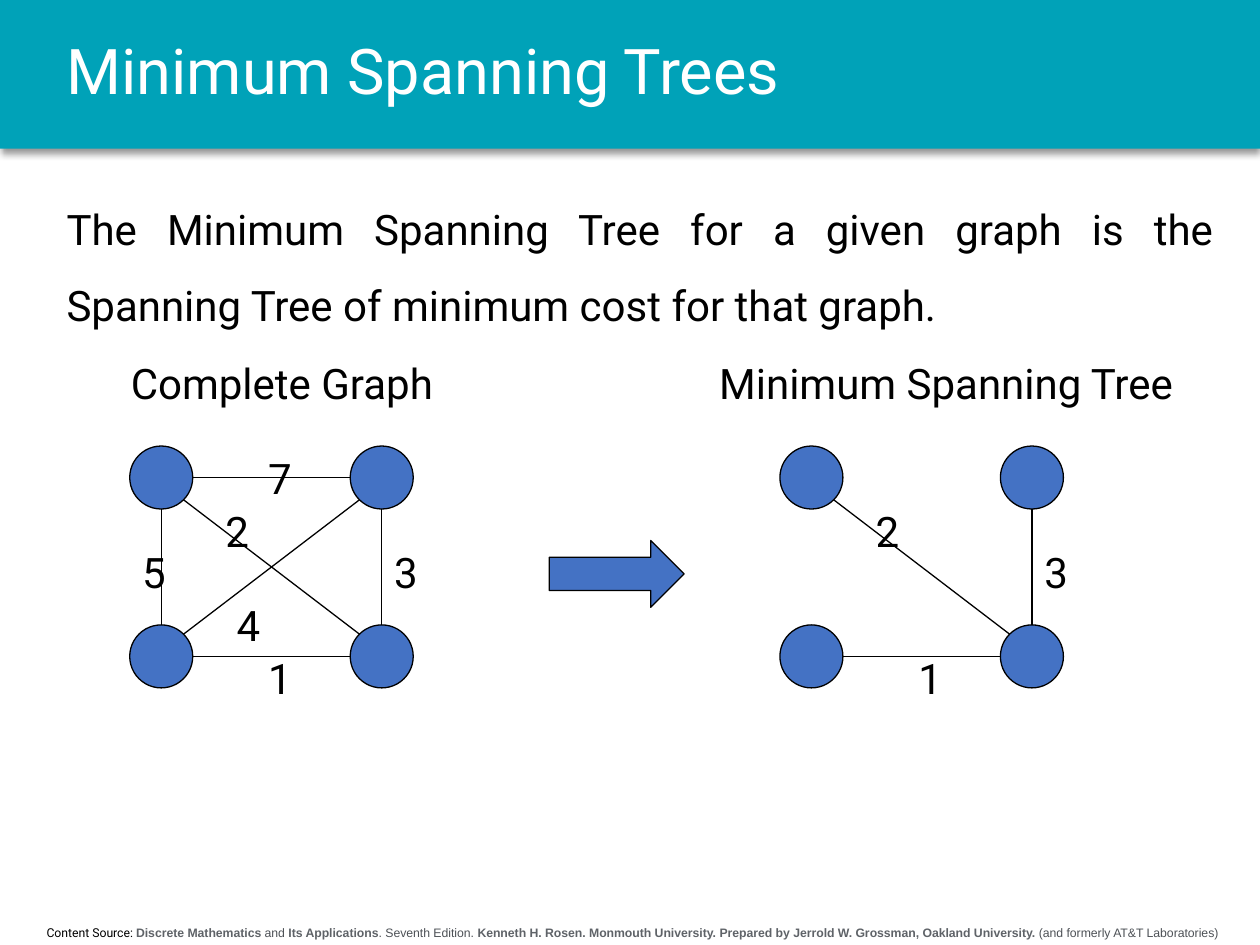
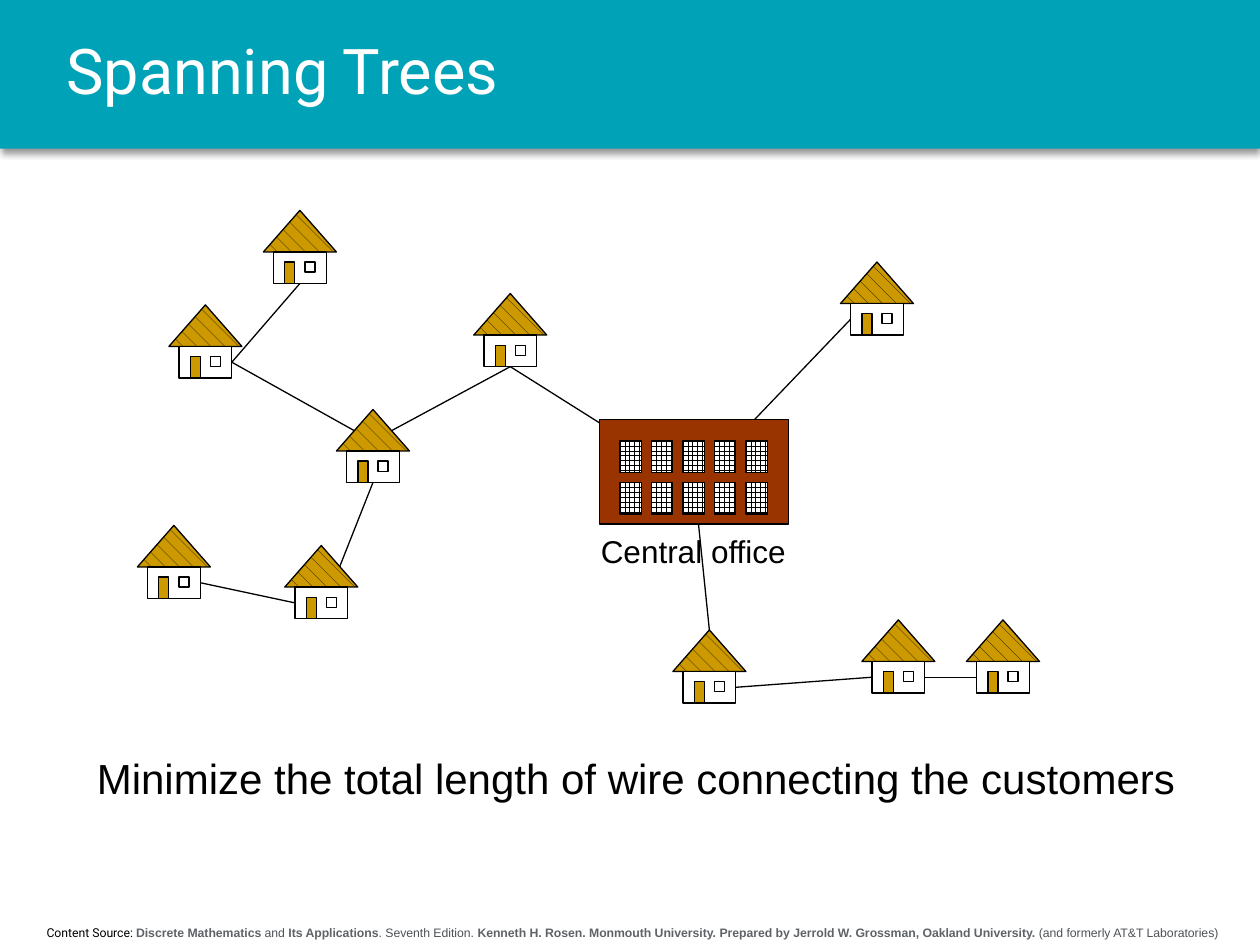
import math

import pptx
import pptx.dml.color
import pptx.enum.dml
import pptx.enum.shapes
import pptx.enum.text
import pptx.oxml
import pptx.oxml.ns
import pptx.util

COLORS = {
    "band": "00A2B8",
    "white": "FFFFFF",
    "black": "000000",
    "node": "4472C4",
    "wood": "CC9900",
    "brick": "993300",
    "source_bold": "5F6368",
    "source": "4D5156",
}
SHAPE = pptx.enum.shapes.MSO_SHAPE
ALIGN = pptx.enum.text.PP_ALIGN
PATTERN = pptx.enum.dml.MSO_PATTERN
TOP, LEFT, BOTTOM, RIGHT = range(4)

NO_EFFECTS = f'<a:effectLst {pptx.oxml.ns.nsdecls("a")}/>'
BAND_SHADOW = (
    f'<a:effectLst {pptx.oxml.ns.nsdecls("a")}>'
    '<a:outerShdw blurRad="50800" dist="38100" dir="5400000" algn="t" rotWithShape="0">'
    '<a:srgbClr val="000000"><a:alpha val="40000"/></a:srgbClr>'
    "</a:outerShdw></a:effectLst>"
)
SOURCE = [
    ("Content Source: ", "Roboto", "black", False),
    ("Discrete Mathematics", "Arial", "source_bold", True),
    (" and ", "Arial", "source", False),
    ("Its Applications", "Arial", "source_bold", True),
    (". Seventh Edition. ", "Arial", "source", False),
    ("Kenneth H. Rosen. Monmouth University. Prepared by Jerrold W. Grossman, "
     "Oakland University.", "Arial", "source_bold", True),
    (" (and formerly AT&T Laboratories)", "Arial", "source", False),
]

NODE_SIZE = 0.5
NODES = {"NW": (0, 0), "NE": (1.75, 0), "SW": (0, 1.42), "SE": (1.75, 1.42)}
EDGES = {
    7: ("NW", "NE", (1, 0, 0.37)),
    5: ("NW", "SW", (0, 0.75, 0.39)),
    1: ("SW", "SE", (1, 1.59, 0.31)),
    3: ("NE", "SE", (2, 0.75, 0.38)),
    4: ("NE", "SW", (0.75, 1.17, 0.39)),
    2: ("NW", "SE", (0.66, 0.42, 0.38)),
}

HOUSES = {
    "far west": (1.09, 4.17),
    "south": (5.34, 5),
    "north": (3.76, 2.33),
    "northeast": (6.67, 2.08),
    "middle": (2.67, 3.25),
    "west": (1.34, 2.42),
    "northwest": (2.09, 1.67),
    "southwest": (2.26, 4.33),
    "far southeast": (7.67, 4.92),
    "southeast": (6.84, 4.92),
}


def rgb(name):
    return pptx.dml.color.RGBColor.from_string(COLORS[name])


def inches(*values):
    return [pptx.util.Inches(value) for value in values]


class Deck:
    def __init__(self):
        self.prs = pptx.Presentation()
        self.prs.slide_width, self.prs.slide_height = inches(10, 7.5)
        self.slide = None

    def start(self, title):
        self.slide = self.prs.slides.add_slide(self.prs.slide_layouts[6])
        band = self.shape(SHAPE.RECTANGLE, 0, 0, 10, 1.18, "band", outline=False)
        properties = band._element.spPr
        properties.remove(properties.find(pptx.oxml.ns.qn("a:effectLst")))
        properties.append(pptx.oxml.parse_xml(BAND_SHADOW))
        self.source_line()
        self.text(title, 0.43, 0, 9.3, 1.18, size=36, color="white", spacing=0.9,
                  anchor=pptx.enum.text.MSO_ANCHOR.MIDDLE, grow=False)

    def source_line(self):
        paragraph = self.text("", 0.04, 7.29, 9.96, 0.22, size=7, align=ALIGN.CENTER)
        for words, font, color, bold in SOURCE:
            run = paragraph.add_run()
            run.text = words
            run.font.name, run.font.bold = font, bold
            run.font.size = pptx.util.Pt(7)
            run.font.color.rgb = rgb(color)

    def text(self, words, left, top, width, height=0.5, size=24, font="Roboto",
             color="black", align=None, spacing=None, anchor=None, wrap=True, grow=True):
        box = self.slide.shapes.add_textbox(*inches(left, top, width, height))
        frame = box.text_frame
        frame.word_wrap = wrap
        if grow:
            frame.auto_size = pptx.enum.text.MSO_AUTO_SIZE.SHAPE_TO_FIT_TEXT
        if anchor is not None:
            frame.vertical_anchor = anchor
        paragraph = frame.paragraphs[0]
        paragraph.text = words
        paragraph.alignment, paragraph.line_spacing = align, spacing
        paragraph.font.name, paragraph.font.size = font, pptx.util.Pt(size)
        paragraph.font.color.rgb = rgb(color)
        return paragraph

    def shape(self, kind, left, top, width, height, fill=None, pattern=None,
              outline=True, group=None):
        shapes = (group or self.slide).shapes
        shape = shapes.add_shape(kind, *inches(left, top, width, height))
        shape.shadow.inherit = False
        if pattern is not None:
            shape.fill.patterned()
            shape.fill.pattern = pattern
            shape.fill.fore_color.rgb = rgb("black")
            shape.fill.back_color.rgb = rgb(fill)
        elif fill:
            shape.fill.solid()
            shape.fill.fore_color.rgb = rgb(fill)
        else:
            shape.fill.background()
        if outline:
            self.ink(shape.line)
        else:
            shape.line.fill.background()
        return shape

    def ink(self, line):
        line.color.rgb = rgb("black")
        line.width = pptx.util.Pt(0.75)

    def line(self, start, end, start_site=None, end_site=None):
        begin = (0, 0) if start_site is not None else start
        finish = (0, 0) if end_site is not None else end
        connector = self.slide.shapes.add_connector(
            pptx.enum.shapes.MSO_CONNECTOR.STRAIGHT, *inches(*begin, *finish))
        if start_site is not None:
            connector.begin_connect(start, start_site)
        if end_site is not None:
            connector.end_connect(end, end_site)
        self.ink(connector.line)
        connector._element.spPr.append(pptx.oxml.parse_xml(NO_EFFECTS))

    def graph(self, left, top, weights):
        radius = NODE_SIZE / 2
        for x, y in NODES.values():
            self.shape(SHAPE.OVAL, left + x, top + y, NODE_SIZE, NODE_SIZE, "node")
        for weight in weights:
            first, second, (label_x, label_y, label_width) = EDGES[weight]
            (x1, y1), (x2, y2) = NODES[first], NODES[second]
            step_x, step_y = (x2 > x1) - (x2 < x1), (y2 > y1) - (y2 < y1)
            reach = radius / math.hypot(step_x, step_y)
            dx, dy = step_x * reach, step_y * reach
            center_x, center_y = left + radius, top + radius
            self.line((center_x + x1 + dx, center_y + y1 + dy),
                      (center_x + x2 - dx, center_y + y2 - dy))
            self.text(str(weight), left + label_x, top + label_y, label_width, wrap=False)

    def house(self, left, top):
        group = self.slide.shapes.add_group_shape()
        roof = self.shape(SHAPE.ISOSCELES_TRIANGLE, left, top, 0.58, 0.33, "wood",
                          PATTERN.SHINGLE, group=group)
        wall = self.shape(SHAPE.RECTANGLE, left + 0.08, top + 0.33, 0.42, 0.25,
                          "white", group=group)
        self.shape(SHAPE.RECTANGLE, left + 0.17, top + 0.41, 0.08, 0.17, "wood", group=group)
        self.shape(SHAPE.RECTANGLE, left + 0.33, top + 0.41, 0.08, 0.08, group=group)
        return roof, wall

    def office(self, left, top):
        group = self.slide.shapes.add_group_shape()
        self.shape(SHAPE.RECTANGLE, left, top, 1.5, 0.83, "brick", group=group)
        for row in range(2):
            for column in range(5):
                self.shape(SHAPE.RECTANGLE, left + 0.16 + column * 0.25,
                           top + 0.17 + row * 0.33, 0.17, 0.25, "white",
                           PATTERN.LARGE_GRID, group=group)


def minimum_spanning_trees(deck):
    deck.start("Minimum Spanning Trees")
    deck.text("The Minimum Spanning Tree for a given graph is the Spanning Tree of "
              "minimum cost for that graph.", 0.43, 1.37, 9.3, 1.23,
              align=ALIGN.JUSTIFY, spacing=1.5)
    deck.graph(1.03, 3.54, EDGES)
    deck.graph(6.19, 3.54, (1, 3, 2))
    deck.shape(SHAPE.RIGHT_ARROW, 4.36, 4.29, 1.07, 0.53, "node")
    deck.text("Complete Graph", 0.94, 2.79, 2.64, wrap=False)
    deck.text("Minimum Spanning Tree", 5.61, 2.79, 3.83, wrap=False)


def spanning_trees(deck):
    deck.start("Spanning Trees")
    houses = {place: deck.house(*corner) for place, corner in HOUSES.items()}
    roofs = {place: roof for place, (roof, _) in houses.items()}
    walls = {place: wall for place, (_, wall) in houses.items()}

    def roof_slope(place, share):
        left, top = HOUSES[place]
        return left + 0.58 * share, top + 0.17

    deck.text("Central office", 4.67, 4.17, 1.67, 0.4, size=18, font="Arial", wrap=False)
    hub = (5.51, 3.83)
    deck.line(hub, walls["northeast"], end_site=LEFT)
    deck.line(hub, roofs["south"], end_site=TOP)
    deck.line(hub, walls["north"], end_site=BOTTOM)
    deck.line(walls["north"], roof_slope("middle", 0.75), start_site=BOTTOM)
    deck.line(roof_slope("middle", 0.25), walls["west"], end_site=RIGHT)
    deck.line(walls["middle"], roof_slope("southwest", 0.75), start_site=BOTTOM)
    for start, start_site, end, end_site in (
        ("west", RIGHT, "northwest", BOTTOM),
        ("southwest", LEFT, "far west", RIGHT),
        ("south", RIGHT, "southeast", LEFT),
        ("southeast", RIGHT, "far southeast", LEFT),
    ):
        deck.line(walls[start], walls[end], start_site, end_site)
    deck.office(4.76, 3.33)
    deck.text("Minimize the total length of wire connecting the customers",
              0.67, 5.92, 8.8, font="Arial")


def main():
    deck = Deck()
    minimum_spanning_trees(deck)
    spanning_trees(deck)
    deck.prs.save("out.pptx")


if __name__ == "__main__":
    main()
